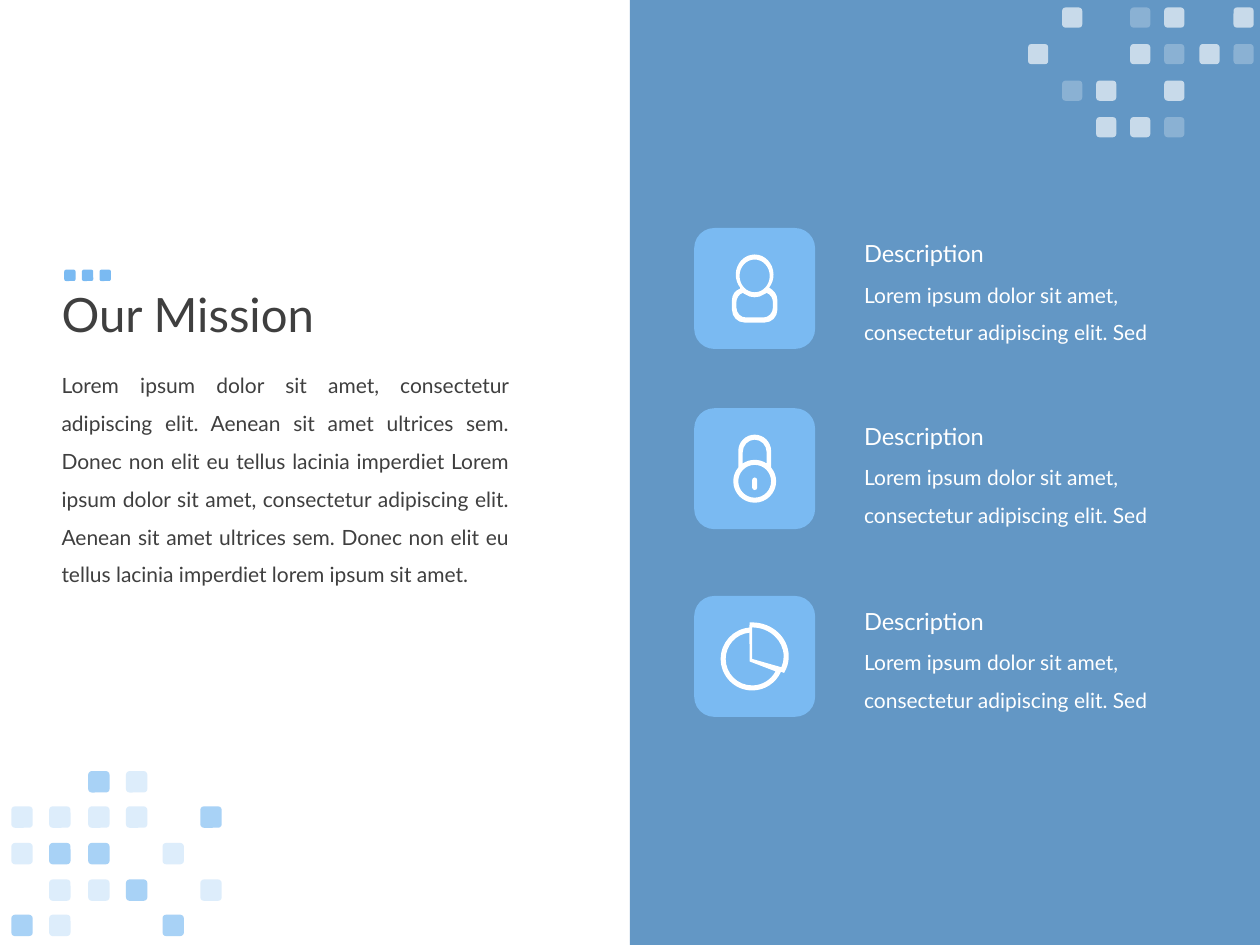
import math

import lxml.etree
import pptx
import pptx.dml.color
import pptx.enum.shapes
import pptx.enum.text
import pptx.oxml.ns
import pptx.util
from pptx.util import Inches

FONT = "Lato"
INK, WHITE, SKY, BLUE = "3F3F3F", "FFFFFF", "7ABAF2", "1060A6"

TITLE = "Our Mission"
MISSION = (
    "Lorem ipsum dolor sit amet, consectetur adipiscing elit. Aenean sit amet "
    "ultrices sem. Donec non elit eu tellus lacinia imperdiet Lorem ipsum dolor "
    "sit amet, consectetur adipiscing elit. Aenean sit amet ultrices sem. Donec "
    "non elit eu tellus lacinia imperdiet lorem ipsum sit amet."
)
HEADING = "Description"
DETAIL = "Lorem ipsum dolor sit amet, consectetur adipiscing elit. Sed"

# Icons: contours made of arcs (centre x, centre y, radius x, radius y, from, to),
# in hundredths of an inch from the tile centre; a zero radius is a corner.
PERSON = [
    [(0, -11, 15, 16, 140, 400), (8, 9, 10, 9.5, -70, 0), (8, 17, 10, 10, 0, 90),
     (-8, 17, 10, 10, 90, 180), (-8, 9, 10, 9.5, 180, 250)],
    [(0, -10, 12, 13, 0, 360)],
    [(0, -11, 15, 18, 120, 60), (7, 11, 7.5, 8, -70, 0), (7, 15, 7.5, 8, 0, 90),
     (-7, 15, 7.5, 8, 90, 180), (-7, 11, 7.5, 8, 180, 250)],
]
PADLOCK = [
    [(0, -14, 13, 13, 180, 360), (0, 10, 17, 17, -40, 220)],
    [(0, -13, 9.5, 10, 180, 360), (0, 10, 17, 17, -56, -124)],
    [(0, 10, 13, 13, 0, 360)],
    [(0, 9, 2, 2, 180, 360), (0, 15, 2, 2, 0, 180)],
]
PIE = [
    [(-2, 0, 29, 27, -94, 29), (-2, 2, 25, 25, 24, 265)],
    [(-4, 4, 0, 0, 0, 0), (-2, 2, 21, 21, 28, 264)],
    [(-2, 2, 0, 0, 0, 0), (-2, 0, 25, 23, -90, 22)],
]

# Icon, tile top, heading top
ITEMS = [(PERSON, 1.81, 1.85), (PADLOCK, 3.24, 3.3), (PIE, 4.73, 4.77)]
TILE_LEFT, TILE_SIZE = 5.51, 0.96

# Mosaics: rows of marks by top, column lefts, square size, colour
OPACITY = {"@": 100, "#": 65, "+": 25}
MOSAICS = [
    ({2.14: "@@@"}, [0.51, 0.65, 0.79], 0.09, SKY),
    ({0.06: ".#.+#.#",
      0.35: "#..#+#+",
      0.64: ".+#.#..",
      0.93: "..##+.."}, [8.16, 8.43, 8.7, 8.97, 9.24, 9.52, 9.79], 0.16, WHITE),
    ({6.12: "..#+..",
      6.4: "++++.#",
      6.69: "+##.+.",
      6.98: ".++#.+",
      7.26: "#+..#."}, [0.09, 0.39, 0.7, 1, 1.29, 1.59], 0.17, SKY),
]

SHAPES = pptx.enum.shapes.MSO_SHAPE
qn = pptx.oxml.ns.qn


def rgb(color):
    return pptx.dml.color.RGBColor.from_string(color)


def paint(shape, color, opacity=100):
    shape.shadow.inherit = False
    shape.line.fill.background()
    shape.fill.solid()
    shape.fill.fore_color.rgb = rgb(color)
    if opacity < 100:
        tint = shape.fill._xPr.find(qn("a:solidFill"))[0]
        lxml.etree.SubElement(tint, qn("a:alpha"), val=str(opacity * 1000))


def add_block(parent, kind, left, top, width, height, color, opacity=100):
    block = parent.add_shape(kind, *map(Inches, (left, top, width, height)))
    paint(block, color, opacity)


def add_text(shapes, text, left, top, width, height, size, color, spacing=1.0):
    box = shapes.add_textbox(*map(Inches, (left, top, width, height)))
    frame = box.text_frame
    frame.word_wrap = True
    frame.text = text
    paragraph = frame.paragraphs[0]
    paragraph.line_spacing = spacing
    paragraph.font.name = FONT
    paragraph.font.size = pptx.util.Pt(size)
    paragraph.font.color.rgb = rgb(color)
    return frame


def arc_curves(arc):
    """Return the arc's first point and its Bezier triples, one per quadrant."""
    x, y, radius_x, radius_y, start, end = arc

    def place(cosine, sine):
        return x + radius_x * cosine, y + radius_y * sine

    turns = [a for a in range(-180, 451, 90) if min(start, end) < a < max(start, end)]
    stops = sorted({start, end, *turns}, reverse=end < start)
    curves = []
    for a, b in zip(map(math.radians, stops), map(math.radians, stops[1:])):
        pull = 4 / 3 * math.tan((b - a) / 4)
        curves.append([
            place(math.cos(a) - pull * math.sin(a), math.sin(a) + pull * math.cos(a)),
            place(math.cos(b) + pull * math.sin(b), math.sin(b) - pull * math.cos(b)),
            place(math.cos(b), math.sin(b)),
        ])
    first = math.radians(start)
    return place(math.cos(first), math.sin(first)), curves


def contour_steps(arcs):
    """Return a list of steps: one point for a move or line, three for a curve."""
    steps = []
    for arc in arcs:
        first, curves = arc_curves(arc)
        if not steps or math.dist(steps[-1][-1], first) > 1:
            steps.append([first])
        steps += curves
    return steps


def add_icon(shapes, contours, center_x, center_y):
    """Draw the control points as lines, then turn each triple into a curve."""
    def emu(point):
        return Inches(center_x + point[0] / 100), Inches(center_y + point[1] / 100)

    outlines = [contour_steps(arcs) for arcs in contours]
    builder = shapes.build_freeform(*emu(outlines[0][0][0]))
    for number, steps in enumerate(outlines):
        if number:
            builder.move_to(*emu(steps[0][0]))
        builder.add_line_segments([emu(p) for step in steps[1:] for p in step])
    icon = builder.convert_to_shape()

    nodes = iter(list(icon._element.find(".//" + qn("a:path"))))
    for steps in outlines:
        for step in steps:
            parts = [next(nodes) for _ in step]
            if len(parts) == 3:
                curve = lxml.etree.Element(qn("a:cubicBezTo"))
                parts[0].addprevious(curve)
                for part in parts:
                    curve.append(part[0])
                    part.getparent().remove(part)
        next(nodes)  # the closing step
    paint(icon, WHITE)


def add_mosaic(shapes, rows, lefts, size, color):
    squares = shapes.add_group_shape().shapes
    for top, marks in rows.items():
        for left, mark in zip(lefts, marks):
            if mark in OPACITY:
                add_block(squares, SHAPES.ROUNDED_RECTANGLE, left, top,
                          size, size, color, OPACITY[mark])


def main():
    deck = pptx.Presentation()
    deck.slide_width, deck.slide_height = Inches(10), Inches(7.5)
    shapes = deck.slides.add_slide(deck.slide_layouts[6]).shapes

    title = add_text(shapes, TITLE, 0.39, 1.68, 8.62, 1.67, 27, INK, 0.9)
    title.vertical_anchor = pptx.enum.text.MSO_ANCHOR.MIDDLE
    add_block(shapes, SHAPES.RECTANGLE, 5, 0, 5, 7.5, BLUE, 65)
    mission = add_text(shapes, MISSION, 0.39, 2.81, 3.75, 1.88, 12, INK, 1.5)
    mission.paragraphs[0].alignment = pptx.enum.text.PP_ALIGN.JUSTIFY

    for _, tile_top, heading_top in ITEMS:
        add_block(shapes, SHAPES.ROUNDED_RECTANGLE, TILE_LEFT, tile_top,
                  TILE_SIZE, TILE_SIZE, SKY)
        add_text(shapes, DETAIL, 6.76, heading_top + 0.24, 2.98, 0.67, 12, WHITE, 1.5)
        add_text(shapes, HEADING, 6.76, heading_top, 1.76, 0.33, 13.5, WHITE)

    for mosaic in MOSAICS:
        add_mosaic(shapes, *mosaic)

    for icon, tile_top, _ in ITEMS:
        add_icon(shapes, icon, TILE_LEFT + TILE_SIZE / 2, tile_top + TILE_SIZE / 2)

    deck.save("out.pptx")


if __name__ == "__main__":
    main()
